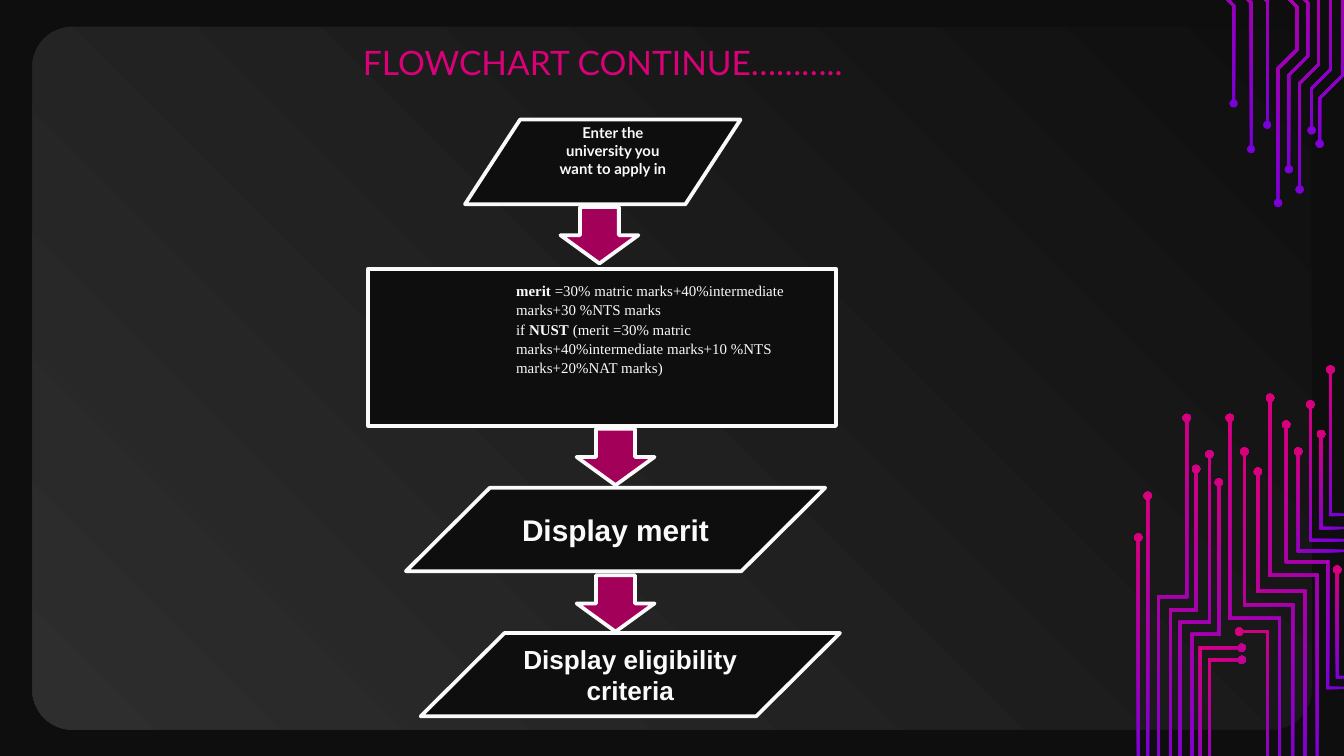
from dataclasses import dataclass
from math import asin, atan2, cos, hypot, pi, sin

from pptx import Presentation
from pptx.dml.color import RGBColor
from pptx.enum.shapes import MSO_SHAPE
from pptx.enum.text import MSO_ANCHOR, PP_ALIGN
from pptx.util import Inches, Pt

COLORS = {
    "background": "0E0E0E",
    "panel_dark": "0F0F0F",
    "panel_light": "2E2E2E",
    "violet": "7800DA",
    "pink": "DA0078",
    "arrow": "A3005A",
    "light": "FAFAFA",
}
TRACE_WIDTH = 0.02
DOT_RADIUS = 0.03
DOT_STEPS = 16
UNITS_PER_INCH = 1000  # freeform points are whole numbers

Point = tuple[float, float]


@dataclass
class Step:
    """One box of the flowchart; each paragraph is a list of (text, bold) spans."""
    kind: MSO_SHAPE
    left: float
    top: float
    width: float
    height: float
    paragraphs: list[list[tuple[str, bool]]]
    font: str = "Arial"
    size: int = 16
    align: PP_ALIGN = PP_ALIGN.CENTER
    line_spacing: float = 1.0
    insets: tuple[float, float, float, float] = (0.1, 0.05, 0.1, 0.05)


STEPS = [
    Step(MSO_SHAPE.FLOWCHART_DATA, 3.46, 0.89, 2.05, 0.63,
         [[("Enter the university you want to apply in", True)]],
         font="Lato", size=8, insets=(0.25, 0, 0.1, 0.17)),
    Step(MSO_SHAPE.FLOWCHART_PROCESS, 2.74, 2, 3.48, 1.17,
         [[("merit", True),
           (" =30% matric marks+40%intermediate marks+30 %NTS marks", False)],
          [("if ", False), ("NUST", True),
           (" (merit =30% matric marks+40%intermediate marks+10 %NTS marks+20%NAT marks)", False)]],
         font="Times New Roman", size=8, align=PP_ALIGN.LEFT, line_spacing=1.07,
         insets=(1.1, 0.05, 0.1, 0.33)),
    Step(MSO_SHAPE.FLOWCHART_DATA, 3.02, 3.63, 3.12, 0.62, [[("Display merit", True)]]),
    Step(MSO_SHAPE.FLOWCHART_DATA, 3.13, 4.71, 3.12, 0.62,
         [[("Display eligibility criteria", True)]], size=14),
]
ARROWS = [(4.29, 4.28), (4.29, 3.19), (4.17, 1.54)]

# Centre lines of the circuit traces, each starting at its dot.
TRACES: list[list[Point]] = [
    # lower left
    [(8.83, 3.11), (8.83, 4.44), (8.62, 4.44), (8.62, 5.73)],
    [(9.24, 4.82), (8.93, 4.82), (8.93, 5.73)],
    [(9.24, 4.91), (9, 4.91), (9, 5.73)],
    [(9.07, 3.59), (9.07, 4.72), (8.87, 4.72), (8.87, 5.73)],
    [(9, 3.38), (9, 4.63), (8.78, 4.63), (8.78, 5.73)],
    [(8.9, 3.49), (8.9, 4.54), (8.71, 4.54), (8.71, 5.73)],
    [(8.54, 3.69), (8.54, 5.73)],
    [(8.47, 4), (8.47, 5.73)],
    # lower right
    [(9.95, 4.24), (9.95, 5.04), (10, 5.04)],
    [(9.9, 2.75), (9.9, 3.83), (10, 3.83)],
    [(9.83, 3.23), (9.83, 3.93), (10, 3.93)],
    [(9.75, 3.01), (9.75, 4.02), (10, 4.02)],
    [(9.66, 3.36), (9.66, 4.1), (10, 4.1)],
    [(9.57, 3.16), (9.57, 4.18), (9.88, 4.18), (9.88, 5.12), (10, 5.12)],
    [(9.45, 2.96), (9.45, 4.28), (9.8, 4.28), (9.8, 5.95)],
    [(9.36, 3.51), (9.36, 4.4), (9.71, 4.4), (9.71, 5.95)],
    [(9.22, 4.7), (9.43, 4.7), (9.43, 5.95)],
    [(9.26, 3.36), (9.26, 4.5), (9.62, 4.5), (9.62, 5.95)],
    [(9.15, 3.11), (9.15, 4.6), (9.52, 4.6), (9.52, 5.95)],
    # upper right
    [(9.82, 1.07), (9.82, 0.73), (9.99, 0.56), (9.99, -0.05), (9.78, -0.25), (9.78, -1.25)],
    [(9.18, 0.77), (9.18, 0.04), (8.86, -0.27), (8.86, -0.38), (9.2, -0.38), (9.2, -1.25)],
    [(9.31, 1.11), (9.31, 0.02), (9.02, -0.27), (9.27, -0.27), (9.27, -1.25)],
    [(9.43, 0.93), (9.43, 0.01), (9.22, -0.19), (9.36, -0.19), (9.36, -1.25)],
    [(9.59, 1.26), (9.59, 0.56), (9.73, 0.42), (9.73, 0.02), (9.58, -0.12), (9.58, -1.25)],
    [(9.51, 1.51), (9.51, 0.51), (9.65, 0.37), (9.65, 0.05), (9.51, -0.09), (9.51, -1.25)],
    [(9.67, 1.41), (9.67, 0.62), (9.81, 0.48), (9.81, -0.02), (9.65, -0.18), (9.65, -1.25)],
    [(9.76, 0.97), (9.76, 0.66), (9.9, 0.52), (9.9, -0.04), (9.72, -0.22), (9.72, -1.25)],
]


def rgb(name: str) -> RGBColor:
    return RGBColor.from_string(COLORS[name])


def fill_gradient(shape, start: str, end: str, angle: float) -> None:
    shape.fill.gradient()
    shape.fill.gradient_angle = angle
    for stop, name, position in zip(shape.fill.gradient_stops, (start, end), (0, 1)):
        stop.color.rgb = rgb(name)
        stop.position = position
    shape.line.fill.background()
    shape.shadow.inherit = False


def trace_outline(route: list[Point]) -> list[Point]:
    """Widen a centre line with mitred corners and close it around its dot."""
    half = TRACE_WIDTH / 2
    normals = []
    for (x1, y1), (x2, y2) in zip(route, route[1:]):
        length = hypot(x2 - x1, y2 - y1)
        normals.append(((y1 - y2) / length, (x2 - x1) / length))
    one_side, other_side = [], []
    for (x, y), (ax, ay), (bx, by) in zip(route, normals[:1] + normals, normals + normals[-1:]):
        scale = half / (1 + ax * bx + ay * by)
        dx, dy = (ax + bx) * scale, (ay + by) * scale
        one_side.append((x + dx, y + dy))
        other_side.append((x - dx, y - dy))
    (x, y), (next_x, next_y) = route[:2]
    heading = atan2(next_y - y, next_x - x)
    gap = asin(half / DOT_RADIUS)
    sweep = 2 * pi - 2 * gap
    angles = [heading - gap - sweep * step / DOT_STEPS for step in range(DOT_STEPS + 1)]
    dot = [(x + DOT_RADIUS * cos(angle), y + DOT_RADIUS * sin(angle)) for angle in angles]
    return one_side[1:] + other_side[:0:-1] + dot


def draw_trace(slide, route: list[Point]) -> None:
    start, *rest = [(x * UNITS_PER_INCH, y * UNITS_PER_INCH) for x, y in trace_outline(route)]
    builder = slide.shapes.build_freeform(*start, scale=Inches(1) / UNITS_PER_INCH)
    builder.add_line_segments(rest, close=True)
    fill_gradient(builder.convert_to_shape(), "violet", "pink", 135)


def draw_panel(slide) -> None:
    panel = slide.shapes.add_shape(MSO_SHAPE.ROUNDED_RECTANGLE, Inches(0.24), Inches(0.2),
                                   Inches(9.52), Inches(5.23))
    panel.adjustments[0] = 0.057
    fill_gradient(panel, "panel_dark", "panel_light", 225)


def write_title(slide) -> None:
    title = slide.shapes.title
    title.left, title.top = Inches(0.27), Inches(0.21)
    title.width, title.height = Inches(8.43), Inches(0.63)
    frame = title.text_frame
    frame.text = "FLOWCHART CONTINUE……….."
    frame.vertical_anchor = MSO_ANCHOR.TOP
    frame.margin_left = frame.margin_top = frame.margin_right = frame.margin_bottom = Inches(0.1)
    frame.paragraphs[0].alignment = PP_ALIGN.CENTER
    font = frame.paragraphs[0].runs[0].font
    font.name, font.size, font.color.rgb = "Lato", Pt(18), rgb("pink")
    title.element.getparent().append(title.element)  # bring in front of the panel


def draw_outlined(slide, kind: MSO_SHAPE, left: float, top: float,
                  width: float, height: float, fill: str):
    shape = slide.shapes.add_shape(kind, Inches(left), Inches(top), Inches(width), Inches(height))
    shape.shadow.inherit = False
    shape.fill.solid()
    shape.fill.fore_color.rgb = rgb(fill)
    shape.line.color.rgb = rgb("light")
    shape.line.width = Pt(2)
    return shape


def draw_step(slide, step: Step) -> None:
    box = draw_outlined(slide, step.kind, step.left, step.top, step.width, step.height, "background")
    frame = box.text_frame
    frame.word_wrap = True
    frame.vertical_anchor = MSO_ANCHOR.MIDDLE
    (frame.margin_left, frame.margin_top,
     frame.margin_right, frame.margin_bottom) = map(Inches, step.insets)
    for index, spans in enumerate(step.paragraphs):
        para = frame.add_paragraph() if index else frame.paragraphs[0]
        para.alignment = step.align
        para.line_spacing = step.line_spacing
        for text, bold in spans:
            span = para.add_run()
            span.text = text
            span.font.name, span.font.size = step.font, Pt(step.size)
            span.font.bold = bold
            span.font.color.rgb = rgb("light")


def main() -> None:
    deck = Presentation()
    deck.slide_width = Inches(10)
    deck.slide_height = deck.slide_width * 9 // 16
    page = deck.slides.add_slide(deck.slide_layouts.get_by_name("Title Only"))
    page.background.fill.solid()
    page.background.fill.fore_color.rgb = rgb("background")
    draw_panel(page)
    for route in TRACES:
        draw_trace(page, route)
    write_title(page)
    for step in STEPS:
        draw_step(page, step)
    for left, top in ARROWS:
        draw_outlined(page, MSO_SHAPE.DOWN_ARROW, left, top, 0.58, 0.42, "arrow")
    deck.save("out.pptx")


if __name__ == "__main__":
    main()
